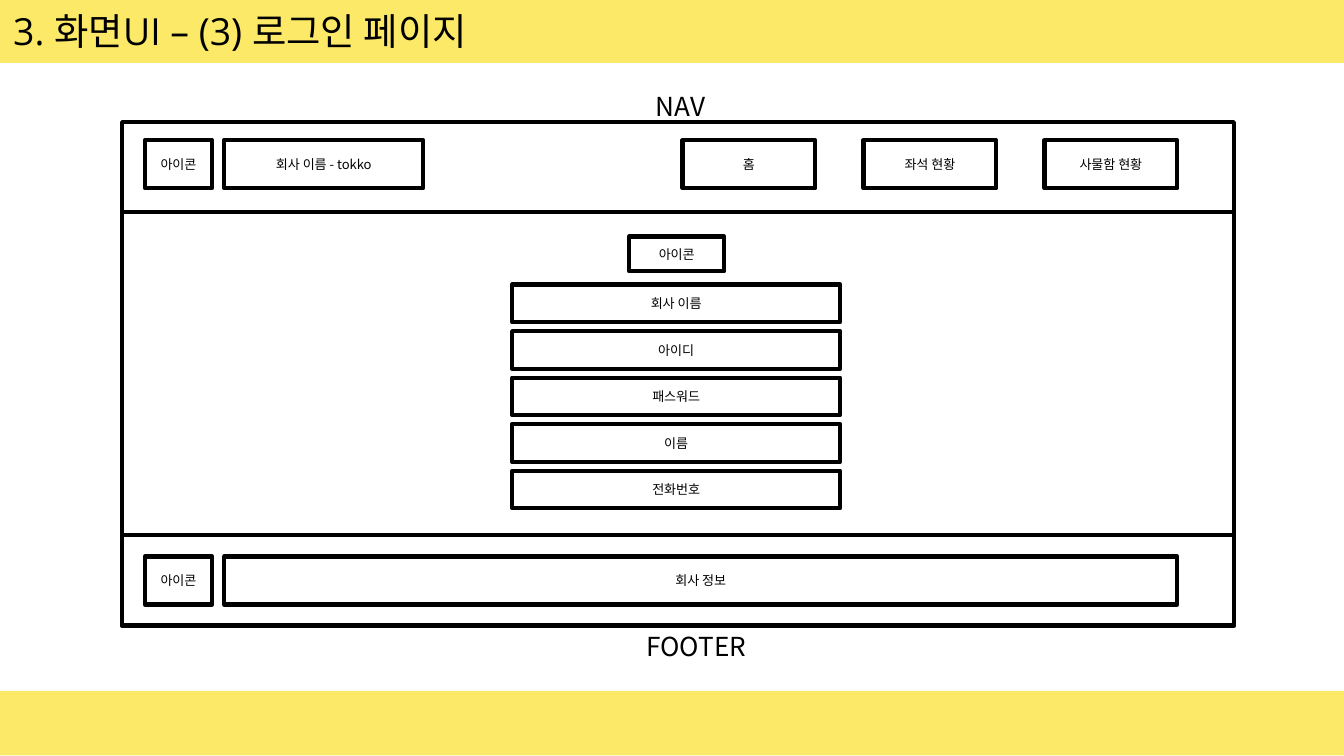
from lxml import etree
from pptx import Presentation
from pptx.dml.color import RGBColor
from pptx.enum.shapes import MSO_SHAPE
from pptx.enum.text import MSO_ANCHOR, PP_ALIGN
from pptx.oxml.ns import qn
from pptx.util import Cm, Pt

RECT = MSO_SHAPE.RECTANGLE
MIDDLE, TOP = MSO_ANCHOR.MIDDLE, MSO_ANCHOR.TOP
LEFT, CENTER = PP_ALIGN.LEFT, PP_ALIGN.CENTER

COLORS = {"bar": "FCE968", "ink": "000000"}
SANS, KOREAN = "Open Sans", "Noto Sans CJK KR"


def color(name):
    return RGBColor.from_string(COLORS[name])


def write(shape, text, size, font=KOREAN, align=CENTER, anchor=MIDDLE,
          inset=(0.15, 0.08)):
    frame = shape.text_frame
    frame.word_wrap = True
    frame.vertical_anchor = anchor
    frame.margin_left = frame.margin_right = Cm(inset[0])
    frame.margin_top = frame.margin_bottom = Cm(inset[1])
    para = frame.paragraphs[0]
    para.text = text
    para.alignment = align
    para.font.size = Pt(size)
    para.font.name = font
    para.font.color.rgb = color("ink")


def add_rect(shapes, x, y, w, h):
    rect = shapes.add_shape(RECT, Cm(x), Cm(y), Cm(w), Cm(h))
    rect.shadow.inherit = False
    return rect


def add_bar(shapes, y):
    bar = add_rect(shapes, 0, y, 25.4, 1.22)
    bar.fill.solid()
    bar.fill.fore_color.rgb = color("bar")
    bar.line.fill.background()
    return bar


def add_box(shapes, x, y, w, h, text=None):
    box = add_rect(shapes, x, y, w, h)
    box.fill.background()
    box.line.width = Pt(2.25)
    box.line.color.rgb = color("ink")
    # Rounded line corners
    etree.SubElement(box.line._get_or_add_ln(), qn("a:round"))
    if text:
        write(box, text, 7)


def add_label(shapes, y, w, text):
    label = shapes.add_textbox(Cm(11.99), Cm(y), Cm(w), Cm(0.76))
    write(label, text, 14, anchor=TOP, inset=(0.18, 0.1))


def main():
    deck = Presentation()
    deck.slide_width, deck.slide_height = Cm(25.4), Cm(14.29)
    slide = deck.slides.add_slide(deck.slide_layouts[6])
    shapes = slide.shapes

    # Bars and title
    add_bar(shapes, 13.06)
    title = add_bar(shapes, -0.03)
    write(title, "3. 화면UI – (3) 로그인 페이지", 20, SANS, LEFT,
          inset=(0.25, 0.25))

    # Section labels
    add_label(shapes, 1.6, 1.75, "NAV")
    add_label(shapes, 11.81, 2.34, "FOOTER")

    # Page frames: body, nav, footer
    page = shapes.add_group_shape().shapes
    for y, h in ((4.01, 7.82), (2.31, 1.7), (10.11, 1.7)):
        add_box(page, 2.31, y, 21.01, h)

    # Nav and footer rows
    for y, w, text in ((2.65, 3.76, "회사 이름 - tokko"),
                       (10.52, 18.01, "회사 정보")):
        add_box(page, 2.74, y, 1.27, 0.91, "아이콘")
        add_box(page, 4.24, y, w, 0.91, text)
    for i, text in enumerate(("홈", "좌석 현황", "사물함 현황")):
        add_box(page, 12.9 + 3.42 * i, 2.65, 2.51, 0.91, text)

    # Login form
    add_box(page, 11.89, 4.47, 1.8, 0.66, "아이콘")
    fields = ("회사 이름", "아이디", "패스워드", "이름", "전화번호")
    for i, text in enumerate(fields):
        add_box(page, 9.68, 5.38 + 0.88 * i, 6.2, 0.71, text)

    deck.save("out.pptx")


if __name__ == "__main__":
    main()
